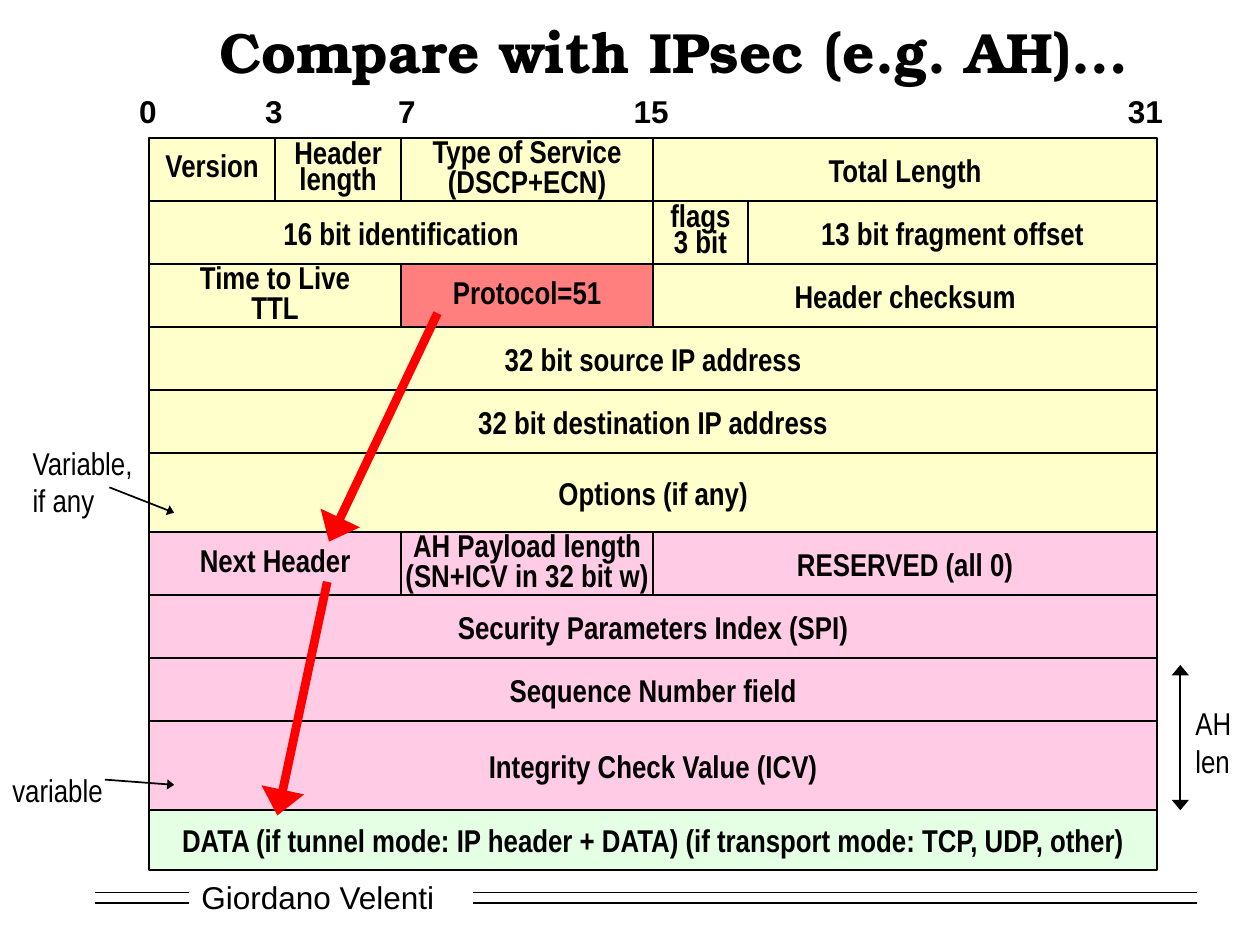
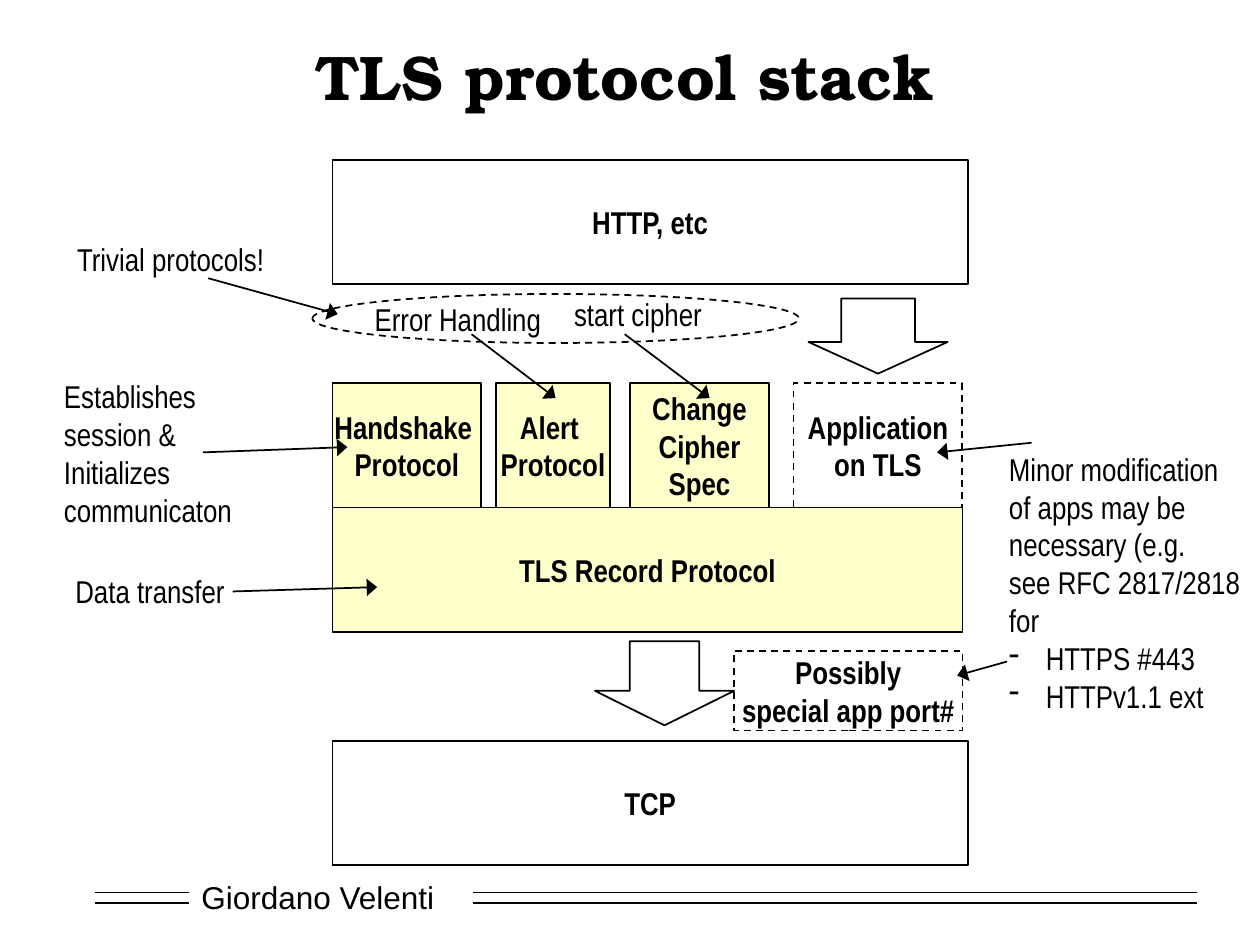
"""Build two slides on the IPsec AH header and the TLS protocol stack."""
from lxml import etree
from pptx import Presentation
from pptx.dml.color import RGBColor
from pptx.enum import dml, shapes, text
from pptx.oxml import ns
from pptx.util import Pt

COLORS = {"black": "000000", "white": "FFFFFF", "red": "FF0000",
          "yellow": "FFFF99", "pink": "FF99CC", "green": "CCFFCC"}
TITLE_FONT, LABEL_FONT, FOOTER_FONT = "TeX Gyre Bonum", "Arial Narrow", "Arial"
FOOTER = "Giordano Velenti"
RECTANGLE = shapes.MSO_SHAPE.RECTANGLE
DOWN_ARROW = shapes.MSO_SHAPE.DOWN_ARROW


def add_box(slide, box, content="", kind=None, fill=None, alpha=50, outline=True, dashed=False,
            font=LABEL_FONT, size=18, bold=None, center=None, spacing=None, wrap=False):
    """Add a shape, or a text box without a kind; \\n parts paragraphs and \\v parts lines."""
    lengths = [Pt(length) for length in box]
    bold = kind is not None if bold is None else bold
    center = kind is not None if center is None else center
    if kind is None:
        shape = slide.shapes.add_textbox(*lengths)
    else:
        shape = slide.shapes.add_shape(kind, *lengths)
        shape.shadow.inherit = False
        if fill:
            shape.fill.solid()
            shape.fill.fore_color.rgb = RGBColor.from_string(COLORS[fill])
            if alpha < 100:
                color = shape.element.spPr.find(".//" + ns.qn("a:srgbClr"))
                etree.SubElement(color, ns.qn("a:alpha"), val=str(alpha * 1000))
        else:
            shape.fill.background()
        if outline:
            shape.line.width = Pt(1)
            shape.line.color.rgb = RGBColor.from_string(COLORS["black"])
            if dashed:
                shape.line.dash_style = dml.MSO_LINE.DASH
        else:
            shape.line.fill.background()
    frame = shape.text_frame
    frame.word_wrap = wrap
    frame.vertical_anchor = text.MSO_ANCHOR.TOP if kind is None and not wrap else text.MSO_ANCHOR.MIDDLE
    if kind is None and not wrap:
        frame.auto_size = text.MSO_AUTO_SIZE.SHAPE_TO_FIT_TEXT
    for number, line in enumerate(content.split("\n")):
        paragraph = frame.add_paragraph() if number else frame.paragraphs[0]
        paragraph.alignment = text.PP_ALIGN.CENTER if center else text.PP_ALIGN.LEFT
        if spacing:
            paragraph.line_spacing = spacing
        for index, piece in enumerate(line.split("\v")):
            if index:
                paragraph.add_line_break()
            if piece:
                run = paragraph.add_run()
                run.text = piece
                run.font.name, run.font.size, run.font.bold = font, Pt(size), bold
                run.font.color.rgb = RGBColor.from_string(COLORS["black"])
    return shape


def add_line(slide, start, end, color="black", width=1, ends=("tailEnd",), head=("lg", "med")):
    """Add a straight line with a triangle of the given width and length at each named end."""
    line = slide.shapes.add_connector(shapes.MSO_CONNECTOR.STRAIGHT, *[Pt(x) for x in (*start, *end)])
    line.line.width = Pt(width)
    line.line.color.rgb = RGBColor.from_string(COLORS[color])
    properties = line.element.spPr
    for name in ends:
        etree.SubElement(properties.find(ns.qn("a:ln")), ns.qn("a:" + name),
                         type="triangle", w=head[0], len=head[1])
    etree.SubElement(properties, ns.qn("a:effectLst"))


presentation = Presentation()
presentation.slide_width, presentation.slide_height = Pt(720), Pt(540)

slides = []
for title, box, size in [("Compare with IPsec (e.g. AH)…", (110.5, 3.5, 549, 51), 32.4),
                         ("TLS protocol stack", (54, 17.5, 606, 51), 36)]:
    slide = presentation.slides.add_slide(presentation.slide_layouts[6])
    add_box(slide, (108, 498, 156, 29), FOOTER, RECTANGLE, "white", alpha=100,
            outline=False, font=FOOTER_FONT, bold=False, center=False, wrap=True)
    for y in (510, 516):
        for left, right in ((54, 108), (270, 684)):
            add_line(slide, (left, y), (right, y), ends=())
    add_box(slide, box, title, font=TITLE_FONT, size=size, bold=True, center=True, wrap=True)
    slides.append(slide)
header_slide, stack_slide = slides

BIT_LABEL_WIDTH = 48
for bit, middle in [("0", 84.5), ("3", 156.5), ("7", 232.5), ("15", 372), ("31", 654.5)]:
    add_box(header_slide, (middle - BIT_LABEL_WIDTH / 2, 49, BIT_LABEL_WIDTH, 29), bit,
            font=FOOTER_FONT, bold=True, center=True)

BIT_WIDTH = 18
header_rows = [
    (36, "yellow", [(4, "Version", 0.7), (4, "Header\nlength", 0.7),
                    (8, "Type of Service\n(DSCP+ECN)", 0.8), (16, "Total Length", None)]),
    (36, "yellow", [(16, "16 bit identification", None), (3, "flags\n3 bit", 0.7),
                    (13, "13 bit fragment offset", None)]),
    (36, "yellow", [(8, "Time to Live\nTTL", 0.8), (8, "Protocol=51", 0.8),
                    (16, "Header checksum", None)]),
    (36, "yellow", [(32, "32 bit source IP address", None)]),
    (36, "yellow", [(32, "32 bit destination IP address", None)]),
    (45, "yellow", [(32, "Options (if any)", None)]),
    (36, "pink", [(8, "Next Header", 0.8), (8, "AH Payload length\n(SN+ICV in 32 bit w)", 0.8),
                  (16, "RESERVED (all 0)", None)]),
    (36, "pink", [(32, "Security Parameters Index (SPI)", None)]),
    (36, "pink", [(32, "Sequence Number field", None)]),
    (51, "pink", [(32, "Integrity Check Value (ICV)", None)]),
    (34, "green", [(32, "DATA (if tunnel mode: IP header + DATA) "
                        "(if transport mode: TCP, UDP, other)", None)]),
]
top = 79
for height, fill, fields in header_rows:
    left = 85.25
    for bits, label, spacing in fields:
        add_box(header_slide, (left, top, bits * BIT_WIDTH, height), label, RECTANGLE,
                "red" if label.startswith("Protocol") else fill, spacing=spacing)
        left += bits * BIT_WIDTH
    top += height

add_line(header_slide, (250, 179), (188, 309.5), "red", 5)
add_line(header_slide, (187, 332.5), (158.5, 466), "red", 5)
add_line(header_slide, (60, 445.5), (99.5, 448.5), head=("med", "sm"))
add_line(header_slide, (62.5, 278.5), (99.5, 293), head=("med", "sm"))
add_line(header_slide, (674.5, 380), (674.5, 463), ends=("headEnd", "tailEnd"))
add_box(header_slide, (0, 437, 66, 29), "variable")
add_box(header_slide, (11.5, 250, 73, 50), "Variable,\vif any")
add_box(header_slide, (676, 399, 35, 50), "AH\nlen")

for left, y, width, height, label, fill, dashed in [
        (190, 290, 360, 71, "TLS Record Protocol", "yellow", False),
        (190, 423.5, 363, 71, "TCP", None, False),
        (190, 91.5, 363, 71, "HTTP, etc", None, False),
        (190, 219, 85, 71, "Handshake \vProtocol", "yellow", False),
        (283.5, 219, 65, 71, "Alert \vProtocol", "yellow", False),
        (360, 219, 79.5, 71, "Change\vCipher\nSpec", "yellow", False),
        (453.5, 219, 96.5, 71, "Application\von TLS", None, True),
        (419.5, 372, 130.5, 45.5, "Possibly\vspecial app port#", None, True)]:
    add_box(stack_slide, (left, y, width, height), label, RECTANGLE, fill, dashed=dashed)

for box, shaft, head in [((340, 366.5, 79.5, 48), 0.5, 0.41), ((462, 170.5, 79.5, 43), 0.53, 0.42)]:
    arrow = add_box(stack_slide, box, kind=DOWN_ARROW)
    arrow.adjustments[0], arrow.adjustments[1] = shaft, head
add_box(stack_slide, (178.5, 168, 278, 28), kind=shapes.MSO_SHAPE.OVAL, dashed=True)

for box, note in [
        ((29.5, 212, 111, 94), "Establishes\vsession &\nInitializes\vcommunicaton"),
        ((207, 168, 109.5, 29), "Error Handling"),
        ((36, 323.5, 100, 29), "Data transfer"),
        ((321, 165, 88, 29), "start cipher"),
        ((37, 133.5, 122, 29), "Trivial protocols!")]:
    add_box(stack_slide, box, note)

apps_note = add_box(stack_slide, (569.5, 253.5, 147, 158),
                    "Minor modification\vof apps may be\vnecessary (e.g.\vsee RFC 2817/2818\vfor"
                    "\nHTTPS #443\nHTTPv1.1 ext")
for paragraph in apps_note.text_frame.paragraphs[1:]:
    properties = paragraph._p.get_or_add_pPr()
    properties.set("marL", str(Pt(21)))
    properties.set("indent", str(-Pt(21)))
    etree.SubElement(properties, ns.qn("a:buChar"), char="-")

for start, end in [((116, 258.5), (198.5, 255.5)), ((269.5, 191), (317.5, 227.5)),
                   ((133, 338), (215.5, 335.5)), ((357, 191), (405.5, 227.5)),
                   ((589.5, 253), (535.5, 258.5)), ((119, 159), (193, 179.5)),
                   ((575.5, 378), (547, 386))]:
    add_line(stack_slide, start, end)

presentation.save("out.pptx")
